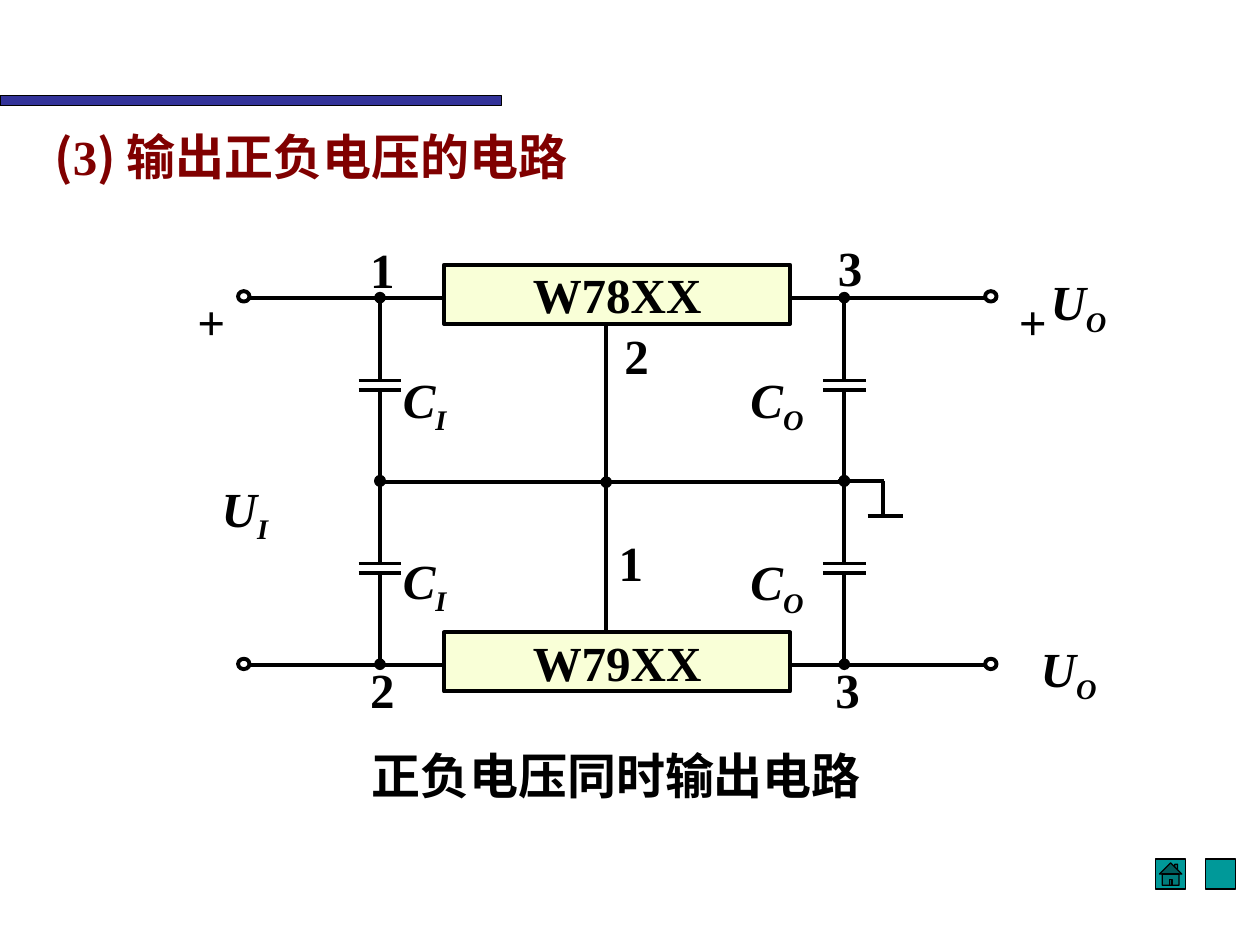
"""Build a slide with a dual-polarity voltage regulator circuit."""
from itertools import product

from lxml import etree
from pptx import Presentation
from pptx.dml.color import RGBColor
from pptx.enum.shapes import MSO_CONNECTOR, MSO_SHAPE as SHAPE
from pptx.enum.text import MSO_ANCHOR as ANCHOR, PP_ALIGN as ALIGN
from pptx.oxml.ns import qn
from pptx.util import Cm, Pt

SERIF = "Times New Roman"
CJK = "Noto Sans CJK SC"


def style_run(para, text, color="000000", latin=SERIF, italic=False, subscript=False):
    span = para.add_run()
    span.text = text
    font = span.font
    font.name, font.size, font.bold, font.italic = latin, Pt(28), True, italic
    font.color.rgb = RGBColor.from_string(color)
    etree.SubElement(font._element, qn("a:ea")).set("typeface", CJK)
    if subscript:
        font._element.set("baseline", "-25000")


def add_wire(x1, y1, x2, y2, dot=None):
    wire = page.shapes.add_connector(
        MSO_CONNECTOR.STRAIGHT, Cm(x1), Cm(y1), Cm(x2), Cm(y2))
    wire.line.color.rgb = RGBColor.from_string("000000")
    wire.line.width = Pt(2.25)
    if dot:
        etree.SubElement(wire.line._get_or_add_ln(), qn(f"a:{dot}")).set("type", "oval")
    etree.SubElement(wire._element.spPr, qn("a:effectLst"))


deck = Presentation()
deck.slide_width, deck.slide_height = Cm(25.4), Cm(19.05)
page = deck.slides.add_slide(deck.slide_layouts[5])

title = page.shapes.title
title.left, title.top, title.width, title.height = Cm(0.84), Cm(2.43), Cm(16.3), Cm(1.35)
title.text_frame.vertical_anchor = ANCHOR.TOP
title_para = title.text_frame.paragraphs[0]
title_para.alignment = ALIGN.LEFT
for text, latin in [("(", CJK), ("3", SERIF), (") ", CJK), ("输出正负电压的电路", "Arial")]:
    style_run(title_para, text, "800000", latin)

LEFT_X, MIDDLE_X, RIGHT_X = 7.66, 12.22, 17.02
TOP_Y, GROUND_Y, BOTTOM_Y = 6.0, 9.72, 13.41

solids = [
    (SHAPE.RECTANGLE, 0, 1.93, 10.11, 0.2, "333399", 0.75, ""),
    (SHAPE.ACTION_BUTTON_HOME, 23.3, 17.32, 0.6, 0.6, "009999", 0.75, ""),
    (SHAPE.ACTION_BUTTON_CUSTOM, 24.3, 17.32, 0.6, 0.6, "009999", 0.75, ""),
    (SHAPE.RECTANGLE, 8.95, 5.34, 6.98, 1.19, "F9FFD7", 2.25, "W78XX"),
    (SHAPE.RECTANGLE, 8.95, 12.75, 6.98, 1.19, "F9FFD7", 2.25, "W79XX"),
]
for x, y in product((4.8, 19.86), (TOP_Y, BOTTOM_Y)):
    solids.append((SHAPE.OVAL, x, y - 0.13, 0.23, 0.21, "FFFFFF", 2.25, ""))
for kind, x, y, width, height, fill, weight, text in solids:
    solid = page.shapes.add_shape(kind, Cm(x), Cm(y), Cm(width), Cm(height))
    solid.shadow.inherit = False
    solid.fill.solid()
    solid.fill.fore_color.rgb = RGBColor.from_string(fill)
    solid.line.color.rgb = RGBColor.from_string("000000")
    solid.line.width = Pt(weight)
    if text:
        solid.text_frame.word_wrap = False
        solid.text_frame.vertical_anchor = ANCHOR.MIDDLE
        solid.text_frame.paragraphs[0].alignment = ALIGN.CENTER
        style_run(solid.text_frame.paragraphs[0], text)

for y in (TOP_Y, BOTTOM_Y):
    add_wire(5.03, y, 8.95, y)
    add_wire(15.93, y, 19.86, y)

for x, y in product((LEFT_X, RIGHT_X), (TOP_Y, 9.69)):
    add_wire(x, y, x, y + 1.7, "headEnd")
    add_wire(x, y + 1.86, x, y + 3.7, "tailEnd")
    for plate_y in (y + 1.67, y + 1.86):
        add_wire(x - 0.43, plate_y, x + 0.43, plate_y)

add_wire(MIDDLE_X, 6.53, MIDDLE_X, GROUND_Y, "tailEnd")
add_wire(MIDDLE_X, GROUND_Y, MIDDLE_X, 12.75)
add_wire(LEFT_X, GROUND_Y, RIGHT_X, GROUND_Y)
add_wire(16.89, 9.69, 17.82, 9.69)
add_wire(17.8, 9.69, 17.8, 10.41)
add_wire(17.49, 10.41, 18.21, 10.41)

labels = [
    (7.21, 4.7, "1", ""), (16.64, 4.67, "3", ""), (12.34, 6.43, "2", ""),
    (12.22, 10.62, "1", ""), (7.21, 13.18, "2", ""), (16.59, 13.18, "3", ""),
    (3.73, 5.76, "+", ""), (20.29, 5.76, "+", ""),
    (7.87, 7.32, "C", "I"), (7.87, 10.97, "C", "I"),
    (14.88, 7.32, "C", "O"), (14.88, 11, "C", "O"),
    (4.22, 9.52, "U", "I"), (20.93, 5.35, "U", "O"), (20.73, 12.75, "U", "O"),
    (7.24, 14.9, "正负电压同时输出电路", ""),
]
for x, y, text, subscript in labels:
    width = 11 if len(text) > 1 else 2 if subscript else 1.1
    box = page.shapes.add_textbox(Cm(x), Cm(y), Cm(width), Cm(1.6 if subscript else 1.45))
    box.text_frame.word_wrap = True
    para = box.text_frame.paragraphs[0]
    style_run(para, text, italic=bool(subscript))
    if subscript:
        style_run(para, subscript, italic=True, subscript=True)

deck.save("out.pptx")
